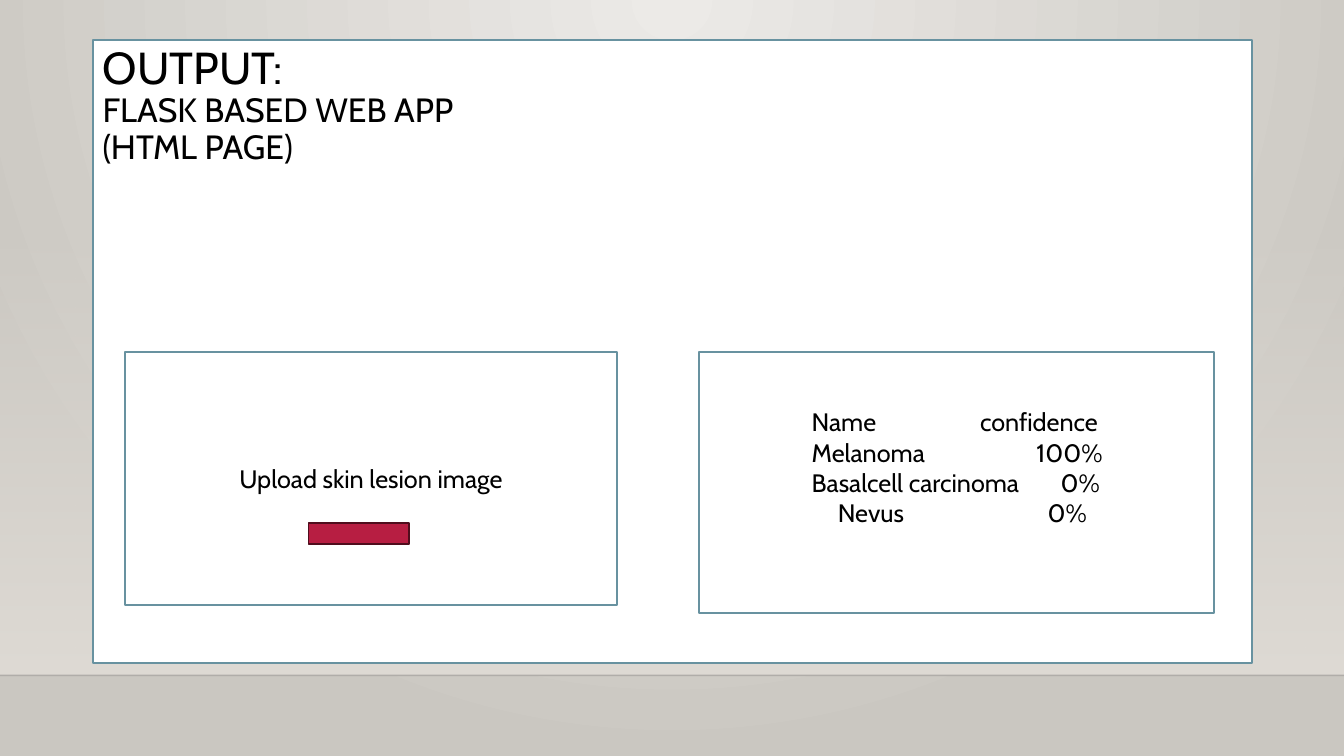
import pptx
import pptx.util
import pptx.dml.color
import pptx.enum.shapes
import pptx.enum.text
import pptx.oxml.ns
import lxml.etree

Inches = pptx.util.Inches
Pt = pptx.util.Pt
RGBColor = pptx.dml.color.RGBColor
PP_ALIGN = pptx.enum.text.PP_ALIGN
ANCHOR = pptx.enum.text.MSO_ANCHOR
qn = pptx.oxml.ns.qn

WHITE = RGBColor(0xFF, 0xFF, 0xFF)
BLACK = RGBColor(0, 0, 0)
INK = RGBColor(0, 0, 1)
TEAL = RGBColor(0x68, 0x92, 0xA0)
RED = RGBColor(0xB7, 0x1E, 0x42)
MAROON = RGBColor(0x50, 0x0D, 0x1D)
LIGHT = RGBColor(0xEC, 0xEA, 0xE7)
STONE = RGBColor(0xCA, 0xC7, 0xC1)
SAND = RGBColor(0xDF, 0xDB, 0xD5)

# Each result: text, then its tab stops in inches
RESULTS = [
    ("Name\tconfidence", [1.67]),
    ("Melanoma\t100%", [2.23]),
    ("Basalcell carcinoma\t0%", [2.47]),
    ("\tNevus\t0%", [0.26, 2.34]),
]


def add(parent, tag, **attrs):
    node = lxml.etree.SubElement(parent, qn(tag))
    for key, value in attrs.items():
        node.set(key, str(value))
    return node


def fade(fill, percent):
    """Set the opacity of a solid colour or gradient stop element."""
    add(fill.find(qn("a:srgbClr")), "a:alpha", val=percent * 1000)


class Deck:
    font = "Cabin"
    edge = Pt(1.25)

    def __init__(self):
        self.prs = pptx.Presentation()
        self.prs.slide_width = Inches(13.33)
        self.prs.slide_height = Inches(7.5)
        self.slide = self.prs.slides.add_slide(self.prs.slide_layouts[6])

    def blend(self, fill, first, last):
        """Give a fill two gradient stops and return it."""
        fill.gradient()
        for stop, color, place in zip(fill.gradient_stops, (first, last), (0, 1)):
            stop.color.rgb = color
            stop.position = place
        return fill

    def backdrop(self):
        self.blend(self.slide.background.fill, LIGHT, STONE)
        grad = next(self.slide.element.iter(qn("a:gradFill")))
        grad.remove(grad.find(qn("a:lin")))
        glow = add(grad, "a:path", path="circle")
        add(glow, "a:fillToRect", l=43000, t=0, r=43000, b=100000)

    def box(self, x, y, w, h, fill=WHITE, line=TEAL):
        shape = self.slide.shapes.add_shape(
            pptx.enum.shapes.MSO_SHAPE.RECTANGLE,
            Inches(x), Inches(y), Inches(w), Inches(h))
        shape.shadow.inherit = False
        shape.fill.solid()
        shape.fill.fore_color.rgb = fill
        if line is None:
            shape.line.fill.background()
        else:
            shape.line.color.rgb = line
            shape.line.width = self.edge
        return shape

    def wall(self, x, y, w, h):
        shape = self.box(x, y, w, h, line=None)
        self.blend(shape.fill, SAND, SAND).gradient_angle = 270
        fade(next(shape.element.iter(qn("a:gs"))), 0)

    def rule(self, y):
        line = self.slide.shapes.add_connector(
            pptx.enum.shapes.MSO_CONNECTOR.STRAIGHT,
            0, Inches(y), self.prs.slide_width, Inches(y))
        line.line.color.rgb = INK
        line.line.width = Pt(1)
        fade(next(line.element.iter(qn("a:solidFill"))), 20)
        add(line.element.spPr, "a:effectLst")

    def label(self, shape, text, sizes=(18,), align=PP_ALIGN.CENTER,
              anchor=ANCHOR.MIDDLE):
        """Fill a shape with text; the last size serves all further runs."""
        frame = shape.text_frame
        frame.word_wrap = True
        frame.vertical_anchor = anchor
        frame.text = text
        for para in frame.paragraphs:
            para.alignment = align
            for i, run in enumerate(para.runs):
                run.font.name = self.font
                run.font.size = Pt(sizes[min(i, len(sizes) - 1)])
                run.font.color.rgb = BLACK
        return frame

    def tabbed(self, shape, rows):
        text = "\n".join(row for row, stops in rows)
        frame = self.label(shape, text, align=PP_ALIGN.LEFT)
        frame.margin_left = Inches(1.12)
        frame.margin_bottom = Inches(0.35)
        for para, (row, stops) in zip(frame.paragraphs, rows):
            tabs = add(para._p.get_or_add_pPr(), "a:tabLst")
            for stop in stops:
                add(tabs, "a:tab", pos=Inches(stop), algn="l")


def main():
    deck = Deck()
    deck.backdrop()
    deck.wall(0, 2.21, 13.33, 4.49)
    deck.rule(6.7)

    page = deck.box(0.92, 0.4, 11.5, 6.18)
    title = deck.label(page, "OUTPUT:\vFLASK BASED WEB APP\v(HTML PAGE)",
                       (32, 24), PP_ALIGN.LEFT, ANCHOR.TOP)
    title.paragraphs[0].line_spacing = 0.9

    upload = deck.box(1.24, 3.49, 4.88, 2.51)
    deck.label(upload, "Upload skin lesion image")
    deck.box(3.06, 5.19, 1, 0.21, RED, MAROON)

    deck.tabbed(deck.box(6.93, 3.49, 5.11, 2.59), RESULTS)
    deck.prs.save("out.pptx")


if __name__ == "__main__":
    main()
